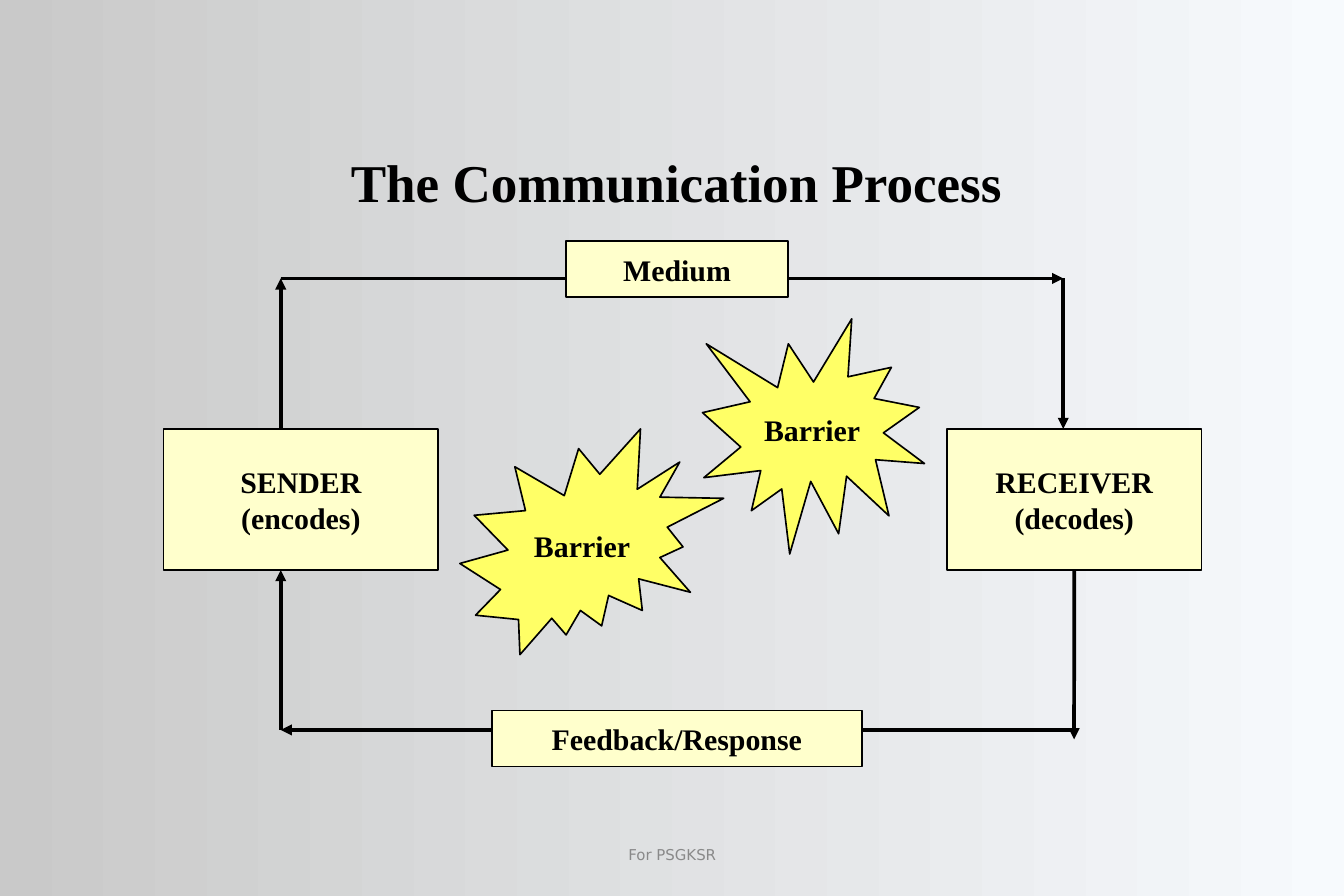
"""Build the communication process slide: a loop from sender to receiver with barriers."""
from lxml import etree
from pptx import Presentation
from pptx.dml.color import RGBColor
from pptx.enum.shapes import MSO_CONNECTOR, MSO_SHAPE
from pptx.enum.text import MSO_ANCHOR, PP_ALIGN
from pptx.oxml.ns import qn
from pptx.util import Cm, Pt

STRAIGHT = MSO_CONNECTOR.STRAIGHT
RECTANGLE = MSO_SHAPE.RECTANGLE
BURST_WIDE, BURST_TALL = MSO_SHAPE.EXPLOSION2, MSO_SHAPE.EXPLOSION1
MIDDLE, CENTER = MSO_ANCHOR.MIDDLE, PP_ALIGN.CENTER
BOTTOM_SITE = 2

SLIDE_SIZE = (28.58, 19.05)
BACKGROUND = ("F7FAFD", "C9C9C9")
BLACK, CREAM, YELLOW, GREY = "000000", "FFFFCC", "FFFF66", "898989"

TITLE_FONT = {"name": "Times New Roman", "size": Pt(32), "bold": True}
LABEL_FONT = {"name": "Times New Roman", "size": Pt(18), "bold": True}
FOOTER_FONT = {"name": "DejaVu Sans", "size": Pt(9), "bold": False}

TITLE = ("The Communication Process", (3.91, 2.59, 20.96, 2.54))
FOOTER = ("For PSGKSR", (9.47, 17.65, 9.65, 1.02))

ROLE_TOP, ROLE_HEIGHT = 9.12, 3.0
ROLE_BOTTOM = ROLE_TOP + ROLE_HEIGHT
SENDER = ("SENDER\n(encodes)", RECTANGLE, CREAM, (3.48, ROLE_TOP, 5.84, ROLE_HEIGHT))
RECEIVER = ("RECEIVER\n(decodes)", RECTANGLE, CREAM, (20.14, ROLE_TOP, 5.41, ROLE_HEIGHT))
BARRIERS = [
    ("Barrier", BURST_WIDE, YELLOW, (9.78, ROLE_TOP, 5.61, 4.8)),
    ("Barrier", BURST_TALL, YELLOW, (14.94, 6.78, 4.72, 5.0)),
]
CHANNELS = [
    ("Medium", RECTANGLE, CREAM, (12.04, 5.13, 4.72, 1.19)),
    ("Feedback/Response", RECTANGLE, CREAM, (10.46, 15.11, 7.87, 1.19)),
]

LEFT, RIGHT, RETURN = 5.97, 22.61, 22.84
MEDIUM_Y, FEEDBACK_Y, RETURN_END = 5.92, 15.52, 15.72
ARROWS = [
    (LEFT, ROLE_TOP, LEFT, MEDIUM_Y),
    (RIGHT, MEDIUM_Y, RIGHT, ROLE_TOP),
    (LEFT, MEDIUM_Y, RIGHT, MEDIUM_Y),
    (LEFT, FEEDBACK_Y, LEFT, ROLE_BOTTOM),
    (RETURN, FEEDBACK_Y, LEFT, FEEDBACK_Y),
]
RETURN_ARROW = (RETURN, ROLE_BOTTOM, RETURN, RETURN_END)


def color(hex_value):
    return RGBColor.from_string(hex_value)


def lengths(values):
    return [Cm(value) for value in values]


def write(shape, text, font_format, hex_value, wrap):
    frame = shape.text_frame
    frame.word_wrap = wrap
    frame.vertical_anchor = MIDDLE
    frame.text = text
    for paragraph in frame.paragraphs:
        paragraph.alignment = CENTER
        font = paragraph.runs[0].font
        for attribute, value in font_format.items():
            setattr(font, attribute, value)
        font.color.rgb = color(hex_value)


def add_text(slide, text, box, font_format, hex_value):
    write(slide.shapes.add_textbox(*lengths(box)), text, font_format, hex_value, True)


def add_block(slide, text, kind, fill, box):
    shape = slide.shapes.add_shape(kind, *lengths(box))
    shape.shadow.inherit = False
    shape.fill.solid()
    shape.fill.fore_color.rgb = color(fill)
    shape.line.color.rgb = color(BLACK)
    shape.line.width = Pt(1)
    write(shape, text, LABEL_FONT, BLACK, False)
    return shape


def add_arrow(slide, ends):
    arrow = slide.shapes.add_connector(STRAIGHT, *lengths(ends))
    arrow.line.color.rgb = color(BLACK)
    arrow.line.width = Pt(2.25)
    properties = arrow._element.spPr
    etree.SubElement(properties.find(qn("a:ln")), qn("a:tailEnd"), type="triangle")
    etree.SubElement(properties, qn("a:effectLst"))
    return arrow


def main():
    presentation = Presentation()
    presentation.slide_width, presentation.slide_height = lengths(SLIDE_SIZE)
    slide = presentation.slides.add_slide(presentation.slide_layouts[6])
    fill = slide.background.fill
    fill.gradient()
    fill.gradient_angle = 180
    for stop, hex_value in zip(fill.gradient_stops, BACKGROUND):
        stop.color.rgb = color(hex_value)

    add_text(slide, *TITLE, TITLE_FONT, BLACK)
    add_block(slide, *SENDER)
    receiver = add_block(slide, *RECEIVER)
    for barrier in BARRIERS:
        add_block(slide, *barrier)
    for ends in ARROWS:
        add_arrow(slide, ends)
    add_arrow(slide, RETURN_ARROW).begin_connect(receiver, BOTTOM_SITE)
    for channel in CHANNELS:
        add_block(slide, *channel)
    add_text(slide, *FOOTER, FOOTER_FONT, GREY)
    presentation.save("out.pptx")


if __name__ == "__main__":
    main()
